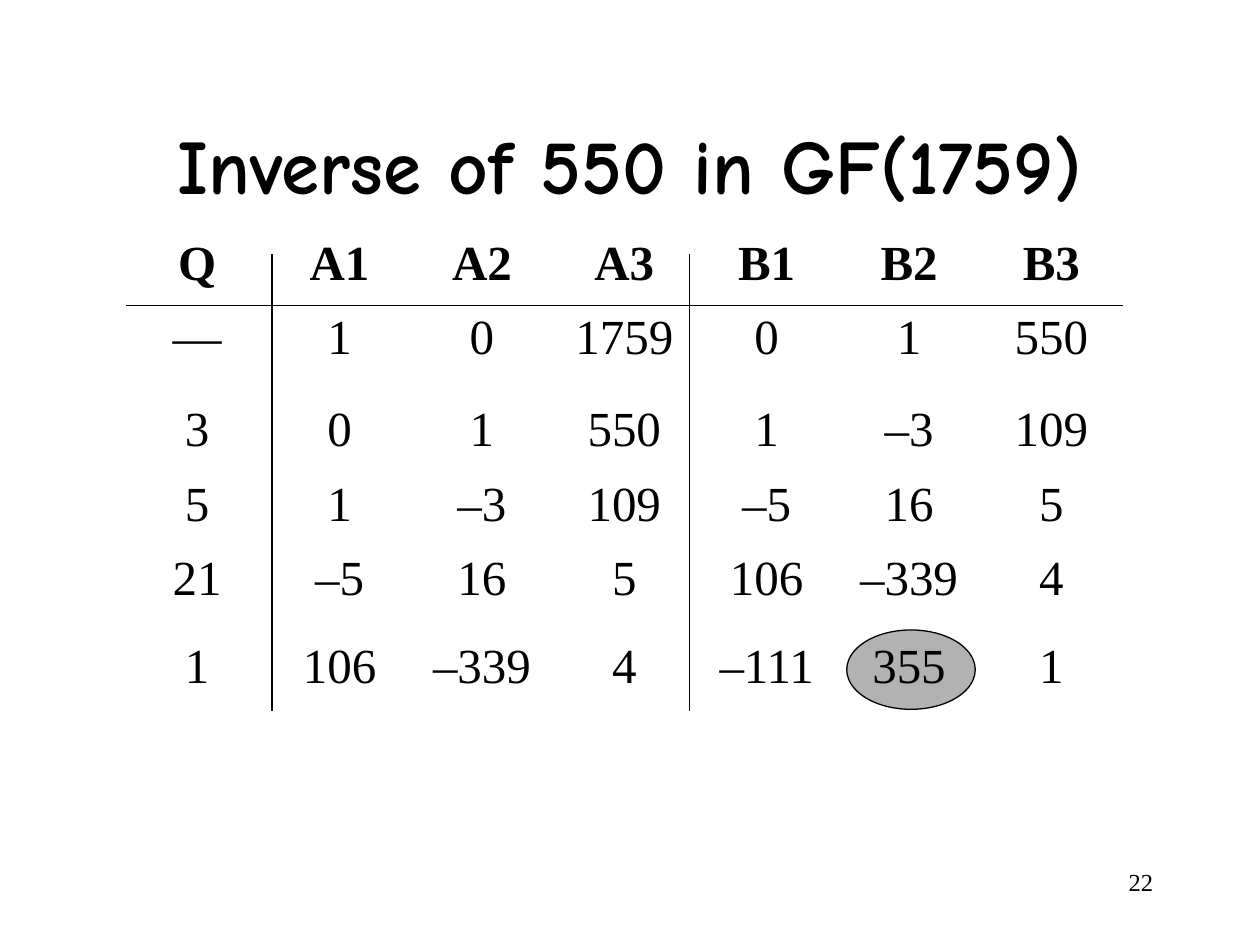
from lxml import etree
from pptx import Presentation
from pptx.dml.color import RGBColor
from pptx.enum import shapes, text
from pptx.oxml import ns
from pptx.util import Inches, Pt

BLACK = RGBColor(0x00, 0x00, 0x00)
GREY = RGBColor(0xB2, 0xB2, 0xB2)
BODY_FONT = "Times New Roman"
TITLE_FONT = "Comic Neue"

COLUMN_WIDTH = 1.13
ROW_HEIGHTS = [0.59, 0.73, 0.59, 0.59, 0.7, 1.04]
ROWS = [
    ["Q", "A1", "A2", "A3", "B1", "B2", "B3"],
    ["—", "1", "0", "1759", "0", "1", "550"],
    ["3", "0", "1", "550", "1", "–3", "109"],
    ["5", "1", "–3", "109", "–5", "16", "5"],
    ["21", "–5", "16", "5", "106", "–339", "4"],
    ["1", "106", "–339", "4", "–111", "355", "1"],
]


def write(frame, words, font_name, size, align, bold=False):
    frame.text = words
    para = frame.paragraphs[0]
    para.alignment = align
    font = para.runs[0].font
    font.name, font.size, font.bold = font_name, Pt(size), bold
    font.color.rgb = BLACK
    return para


def set_borders(cell, ruled_side):
    """Rule one side of the cell (or none) and clear the other sides."""
    properties = cell._tc.get_or_add_tcPr()
    for position, side in enumerate(["lnL", "lnR", "lnT", "lnB"]):
        border = etree.Element(ns.qn("a:" + side), w=str(Pt(0.45)))
        if side == ruled_side:
            fill = etree.SubElement(border, ns.qn("a:solidFill"))
            etree.SubElement(fill, ns.qn("a:srgbClr"), val=str(BLACK))
        else:
            etree.SubElement(border, ns.qn("a:noFill"))
        properties.insert(position, border)


deck = Presentation()
deck.slide_width, deck.slide_height = Inches(10), Inches(7.5)
page = deck.slides.add_slide(deck.slide_layouts[6])

# Highlight behind the resulting inverse
highlight = page.shapes.add_shape(
    shapes.MSO_SHAPE.OVAL, Inches(6.72), Inches(5), Inches(1.02), Inches(0.63))
highlight.shadow.inherit = False
highlight.fill.solid()
highlight.fill.fore_color.rgb = GREY
highlight.line.color.rgb = BLACK
highlight.line.width = Pt(0.75)

# Page number and title
number_box = page.shapes.add_textbox(Inches(7.17), Inches(6.83), Inches(2.08), Inches(0.5))
number_box.text_frame.word_wrap = True
write(number_box.text_frame, "22", BODY_FONT, 14, text.PP_ALIGN.RIGHT)

title_box = page.shapes.add_textbox(Inches(0.75), Inches(0.67), Inches(8.5), Inches(1.25))
title_box.text_frame.word_wrap = True
title_box.text_frame.vertical_anchor = text.MSO_ANCHOR.MIDDLE
write(title_box.text_frame, "Inverse of 550 in GF(1759)", TITLE_FONT, 44,
      text.PP_ALIGN.CENTER, bold=True)

# Steps of the extended Euclidean algorithm
table = page.shapes.add_table(
    len(ROWS), len(ROWS[0]), Inches(1), Inches(1.83),
    Inches(COLUMN_WIDTH * len(ROWS[0])), Inches(sum(ROW_HEIGHTS))).table
table.first_row = table.horz_banding = False
for column in table.columns:
    column.width = Inches(COLUMN_WIDTH)
for r, (height, values) in enumerate(zip(ROW_HEIGHTS, ROWS)):
    table.rows[r].height = Inches(height)
    for c, value in enumerate(values):
        cell = table.cell(r, c)
        cell.fill.background()
        set_borders(cell, {0: "lnB", 1: "lnT"}.get(r))
        para = write(cell.text_frame, value, BODY_FONT, 28, text.PP_ALIGN.CENTER, bold=r == 0)
        para.space_after = Pt(3)

# Dividers between the Q, A and B columns
for x in [2.16, 5.47]:
    divider = page.shapes.add_connector(
        shapes.MSO_CONNECTOR.STRAIGHT, Inches(x), Inches(2.02), Inches(x), Inches(5.64))
    divider.line.color.rgb = BLACK
    divider.line.width = Pt(0.75)
    etree.SubElement(divider._element.spPr, ns.qn("a:effectLst"))

deck.save("out.pptx")
